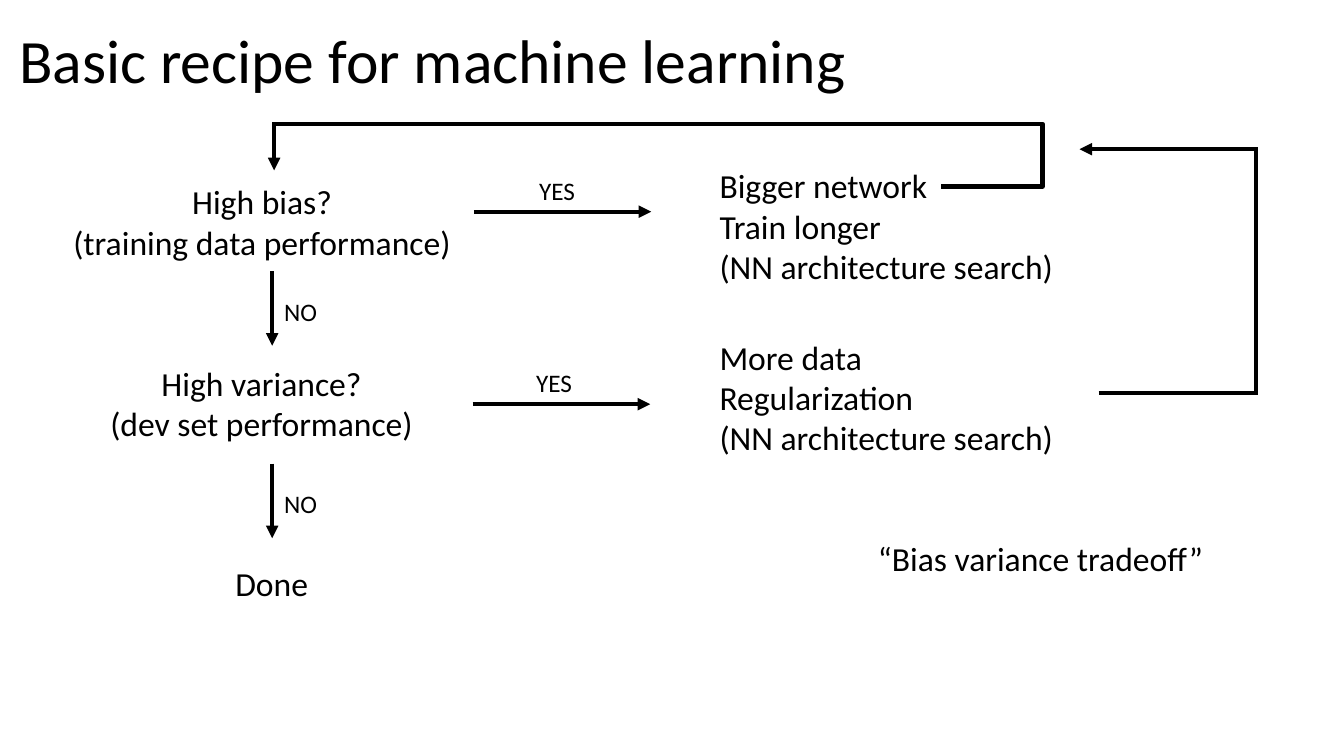
from lxml import etree
from pptx import Presentation
from pptx import util as u
from pptx.dml.color import RGBColor
from pptx.enum import shapes, text
from pptx.oxml.ns import qn

COLOURS = {"ink": "000000", "paper": "FFFFFF"}
FONT = "Calibri"
CELL = u.Inches(0.1)  # side of one square of the layout grid
COLUMNS, ROWS = 133.33, 75
BODY, LABEL, TITLE = 24, 18, 44
FLOW_COLUMN = 27  # the downward arrows run along this column


def cells(*counts):
    return [round(count * CELL) for count in counts]


def colour(name):
    return RGBColor.from_string(COLOURS[name])


def write(frame, words, size=BODY, align=text.PP_ALIGN.LEFT, wrap=False,
          anchor=text.MSO_ANCHOR.TOP, spacing=None):
    """Fill a text frame, one paragraph per line of words."""
    frame.text = words
    frame.word_wrap = wrap
    frame.auto_size = text.MSO_AUTO_SIZE.NONE if wrap else text.MSO_AUTO_SIZE.SHAPE_TO_FIT_TEXT
    frame.vertical_anchor = anchor
    for paragraph in frame.paragraphs:
        paragraph.alignment = align
        paragraph.line_spacing = spacing
        paragraph.font.size = u.Pt(size)
        paragraph.font.name = FONT
        paragraph.font.color.rgb = colour("ink")


def add_title(slide, words):
    title = slide.shapes.title
    title.left, title.top, title.width, title.height = cells(0.9, 0.9, 115, 10.8)
    write(title.text_frame, words, size=TITLE, wrap=True,
          anchor=text.MSO_ANCHOR.MIDDLE, spacing=0.9)


def add_words(slide, box, words, **style):
    shape = slide.shapes.add_textbox(*cells(*box))
    write(shape.text_frame, words, **style)


def add_line(slide, start, end, arrow=False, bend=None):
    """Join two grid points; bend is the elbow's place as a share of the width."""
    kind = shapes.MSO_CONNECTOR.STRAIGHT if bend is None else shapes.MSO_CONNECTOR.ELBOW
    line = slide.shapes.add_connector(kind, *cells(*start, *end))
    line.line.width = u.Pt(3)
    line.line.color.rgb = colour("ink")
    properties = line._element.spPr
    if arrow:
        etree.SubElement(properties.find(qn("a:ln")), qn("a:tailEnd"), type="triangle")
    if bend is not None:
        guides = properties.find(qn("a:prstGeom")).find(qn("a:avLst"))
        etree.SubElement(guides, qn("a:gd"), name="adj1", fmla=f"val {round(bend * 100000)}")
    etree.SubElement(properties, qn("a:effectLst"))


def add_step(slide, question, question_box, remedies, remedies_row, yes_at, arrow_from, no_row):
    """Draw a question, its YES arrow to the remedies and its NO arrow down."""
    add_words(slide, question_box, question, align=text.PP_ALIGN.CENTER)
    add_words(slide, (70.4, remedies_row, 35.4, 13.1), remedies)
    column, row = arrow_from
    add_line(slide, arrow_from, (column + 17.6, row), arrow=True)
    add_words(slide, (*yes_at, 5.6, 4), "YES", size=LABEL)
    add_line(slide, (FLOW_COLUMN, no_row), (FLOW_COLUMN, no_row + 7.4), arrow=True)
    add_words(slide, (27.2, no_row + 2, 5.3, 4), "NO", size=LABEL)


def add_return_lines(slide):
    """Lead the remedies back to the questions."""
    add_line(slide, (FLOW_COLUMN, 12.3), (93.4, 18.5), bend=1.151)
    add_line(slide, (27.2, 12.3), (27.2, 16.9), arrow=True)
    add_line(slide, (109, 39), (124.8, 39))
    add_line(slide, (124.6, 39.1), (124.6, 14.6))
    add_line(slide, (124.6, 14.8), (107.1, 14.8), arrow=True)


def main():
    presentation = Presentation()
    presentation.slide_width, presentation.slide_height = cells(COLUMNS, ROWS)
    slide = presentation.slides.add_slide(presentation.slide_layouts[5])
    slide.background.fill.solid()
    slide.background.fill.fore_color.rgb = colour("paper")

    add_title(slide, "Basic recipe for machine learning")
    add_step(slide, "High bias?\n(training data performance)", (6.1, 17.5, 39.8, 9.1),
             "Bigger network\nTrain longer\n(NN architecture search)", 15.9,
             yes_at=(52.5, 16.9), arrow_from=(47, 21), no_row=26.9)
    add_step(slide, "High variance?\n(dev set performance)", (9.8, 35.5, 32.3, 9.1),
             "More data\nRegularization\n(NN architecture search)", 32.9,
             yes_at=(52.2, 35.9), arrow_from=(46.9, 40.1), no_row=46)
    add_return_lines(slide)
    add_words(slide, (22.3, 55.4, 9.3, 5), "Done", align=text.PP_ALIGN.CENTER)
    add_words(slide, (86.1, 52.9, 34.4, 5), "“Bias variance tradeoff”")
    presentation.save("out.pptx")


if __name__ == "__main__":
    main()
